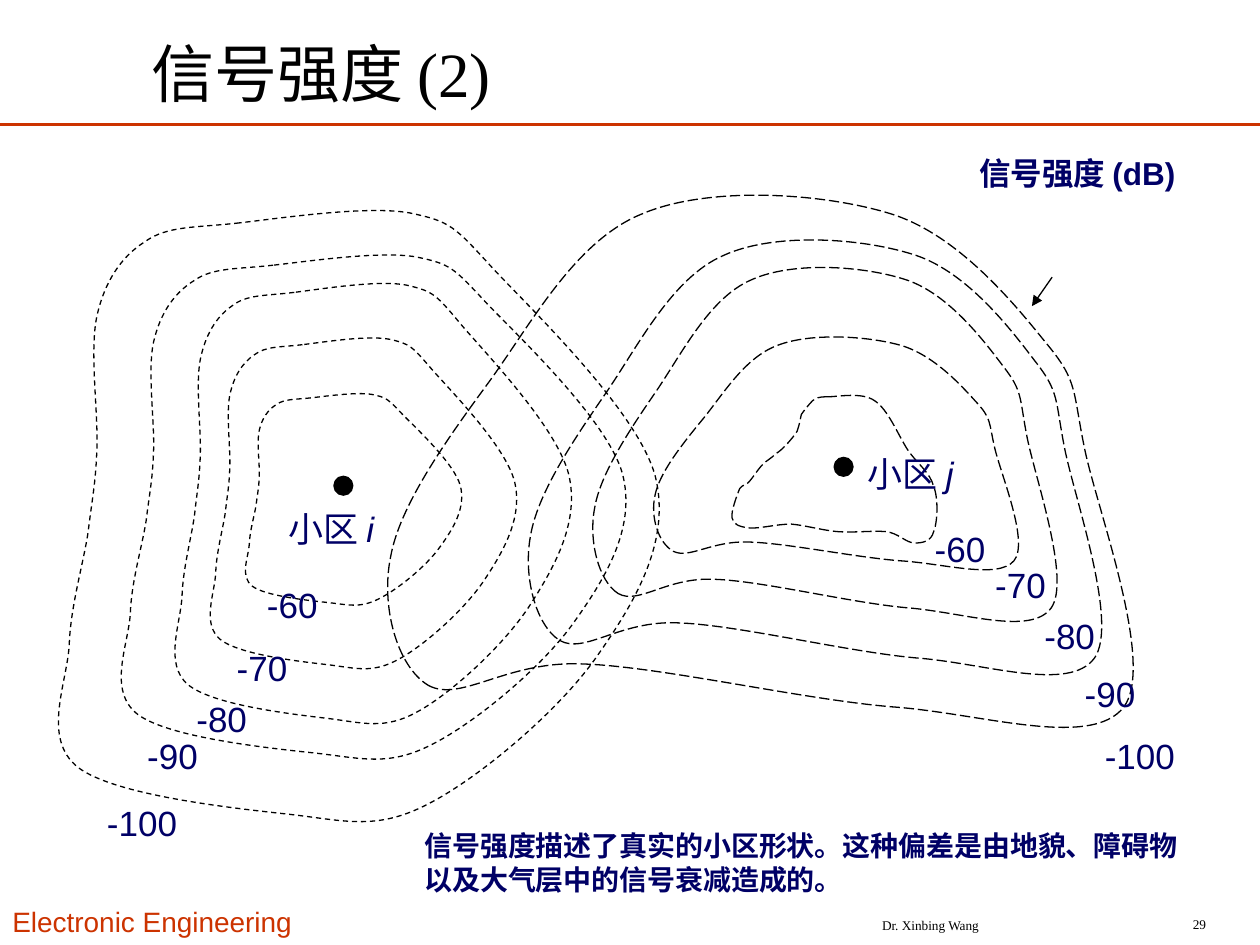
from dataclasses import dataclass

from pptx import Presentation
from pptx.dml.color import RGBColor
from pptx.enum import dml, shapes, text
from pptx.oxml.xmlchemy import OxmlElement
from pptx.util import Inches, Pt


@dataclass(frozen=True)
class Theme:
    ink: RGBColor = RGBColor(0, 0, 0)
    navy: RGBColor = RGBColor(0x00, 0x00, 0x66)
    red: RGBColor = RGBColor(0xCC, 0x33, 0x00)
    sans: str = "Arial"
    serif: str = "Times New Roman"
    title: float = 36
    label: float = 20
    head: float = 18
    body: float = 16
    small: float = 7.6
    thin: float = 0.75
    rule: float = 1.5


T = Theme()
LEFT, MID, RIGHT = text.PP_ALIGN.LEFT, text.PP_ALIGN.CENTER, text.PP_ALIGN.RIGHT

# Closed Bezier outlines: a start point, then three points per curve
CELL_I = [
    (1.9, 1.77),
    (1.55, 1.81), (1.33, 1.79), (1.15, 1.92),
    (0.96, 2.04), (0.83, 2.24), (0.77, 2.51),
    (0.71, 2.79), (0.78, 3.27), (0.77, 3.56),
    (0.76, 3.85), (0.73, 3.97), (0.7, 4.23),
    (0.66, 4.49), (0.56, 4.82), (0.55, 5.13),
    (0.53, 5.44), (0.33, 5.87), (0.62, 6.1),
    (0.91, 6.32), (1.81, 6.42), (2.27, 6.47),
    (2.73, 6.52), (2.98, 6.61), (3.4, 6.39),
    (3.81, 6.18), (4.45, 5.64), (4.75, 5.2),
    (5.05, 4.77), (5.33, 4.29), (5.2, 3.78),
    (5.06, 3.27), (4.25, 2.49), (3.92, 2.14),
    (3.6, 1.79), (3.58, 1.76), (3.25, 1.69),
    (2.91, 1.63), (2.25, 1.73), (1.9, 1.77),
]
CELL_J = [
    (3.4, 5.44),
    (3.66, 5.58), (4.02, 5.24), (4.63, 5.27),
    (5.24, 5.29), (6.36, 5.55), (7.08, 5.61),
    (7.79, 5.66), (8.66, 5.95), (8.92, 5.61),
    (9.17, 5.27), (8.71, 4.05), (8.61, 3.57),
    (8.51, 3.09), (8.56, 3.03), (8.3, 2.72),
    (8.05, 2.41), (7.61, 1.87), (7.08, 1.7),
    (6.54, 1.53), (5.62, 1.47), (5.09, 1.7),
    (4.55, 1.92), (4.2, 2.6), (3.86, 3.06),
    (3.53, 3.51), (3.17, 4.02), (3.1, 4.42),
    (3.02, 4.81), (3.15, 5.29), (3.4, 5.44),
]
CORE_J = [
    (6.57, 3.15),
    (6.48, 3.15), (6.49, 3.16), (6.45, 3.18),
    (6.42, 3.21), (6.38, 3.26), (6.36, 3.29),
    (6.35, 3.33), (6.35, 3.35), (6.34, 3.38),
    (6.33, 3.41), (6.33, 3.43), (6.3, 3.46),
    (6.27, 3.5), (6.21, 3.57), (6.16, 3.6),
    (6.12, 3.64), (6.09, 3.65), (6.05, 3.69),
    (6.02, 3.72), (5.97, 3.8), (5.94, 3.83),
    (5.91, 3.86), (5.9, 3.84), (5.87, 3.88),
    (5.85, 3.93), (5.8, 4.06), (5.81, 4.11),
    (5.82, 4.16), (5.86, 4.18), (5.94, 4.19),
    (6.02, 4.2), (6.16, 4.16), (6.28, 4.16),
    (6.39, 4.17), (6.53, 4.21), (6.65, 4.22),
    (6.78, 4.23), (6.93, 4.21), (7.03, 4.22),
    (7.13, 4.23), (7.19, 4.31), (7.26, 4.31),
    (7.32, 4.31), (7.39, 4.3), (7.41, 4.22),
    (7.44, 4.15), (7.45, 3.96), (7.41, 3.86),
    (7.38, 3.75), (7.29, 3.69), (7.21, 3.58),
    (7.13, 3.46), (7.05, 3.25), (6.94, 3.18),
    (6.84, 3.11), (6.65, 3.15), (6.57, 3.15),
]

# Contour boxes (left, top, width, height), from the weakest level inwards
RINGS_I = [(0.33, 1.63, 5, 4.97), (0.85, 1.99, 4.2, 4.1), (1.3, 2.22, 3.3, 3.58),
           (1.6, 2.66, 2.55, 2.69), (1.9, 3.11, 1.8, 1.72)]
RINGS_J = [(3.02, 1.47, 6.15, 4.48), (4.15, 1.84, 4.73, 3.66),
           (4.67, 2.07, 3.83, 2.98), (5.16, 2.64, 3.01, 1.96)]

# Level label corners, in the order of LEVELS
LEVELS = range(-100, -59, 10)
MARKS_I = [(0.75, 6.31), (1.07, 5.78), (1.46, 5.49), (1.78, 5.08), (2.02, 4.58)]
MARKS_J = [(8.67, 5.78), (8.51, 5.29), (8.19, 4.83), (7.8, 4.42), (7.32, 4.14)]


def style(font, size, color, face=T.sans, bold=False):
    font.size, font.name, font.bold = Pt(size), face, bold
    font.color.rgb = color


def add_text(slide, box, words, size, color=T.navy, face=T.sans,
             bold=False, align=LEFT, anchor=text.MSO_ANCHOR.TOP):
    frame = slide.shapes.add_textbox(*map(Inches, box)).text_frame
    frame.word_wrap = True
    frame.vertical_anchor = anchor
    frame.text = words
    par = frame.paragraphs[0]
    par.alignment = align
    style(par.runs[0].font, size, color, face, bold)
    return par


def add_name(slide, box, letter):
    par = add_text(slide, box, "小区 ", T.label)
    run = par.add_run()
    run.text = letter
    style(run.font, T.label, T.navy)
    run.font.italic = True


def add_line(slide, start, end, color, width, arrow=False):
    line = slide.shapes.add_connector(
        shapes.MSO_CONNECTOR.STRAIGHT, *map(Inches, start + end))
    line.line.color.rgb = color
    line.line.width = Pt(width)
    if arrow:
        tip = OxmlElement("a:tailEnd")
        tip.set("type", "triangle")
        line.element.xpath(".//a:ln")[0].append(tip)
    line.element.spPr.append(OxmlElement("a:effectLst"))


def fit(points, box):
    """Scale an outline so that its points fill the box."""
    xs, ys = zip(*points)
    left, top, wide, high = box
    across = wide / (max(xs) - min(xs))
    down = high / (max(ys) - min(ys))
    return [(left + (x - min(xs)) * across, top + (y - min(ys)) * down)
            for x, y in points]


def add_ring(group, points, dash):
    spots = [(Inches(x), Inches(y)) for x, y in points]
    pen = group.shapes.build_freeform(*spots[0])
    pen.add_line_segments(spots[1:], close=True)
    ring = pen.convert_to_shape()
    # Turn each three straight legs into one Bezier curve
    legs = ring.element.xpath(".//a:lnTo")
    for i in range(0, len(legs), 3):
        curve = OxmlElement("a:cubicBezTo")
        legs[i].addprevious(curve)
        for leg in legs[i:i + 3]:
            curve.append(leg[0])
            leg.getparent().remove(leg)
    ring.shadow.inherit = False
    ring.fill.background()
    ring.line.color.rgb = T.ink
    ring.line.width = Pt(T.thin)
    ring.line.dash_style = dash


def add_cell(slide, rings, dash, spot):
    group = slide.shapes.add_group_shape()
    for points in rings:
        add_ring(group, points, dash)
    dot = group.shapes.add_shape(shapes.MSO_SHAPE.FLOWCHART_CONNECTOR,
                                 *map(Inches, spot + (0.15, 0.15)))
    dot.shadow.inherit = False
    dot.fill.solid()
    dot.fill.fore_color.rgb = dot.line.color.rgb = T.ink
    dot.line.width = Pt(T.thin)


def add_title(slide, box, words):
    title = slide.shapes.title
    title.left, title.top, title.width, title.height = map(Inches, box)
    frame = title.text_frame
    frame.text = words
    frame.auto_size = text.MSO_AUTO_SIZE.NONE
    frame.vertical_anchor = text.MSO_ANCHOR.MIDDLE
    frame.paragraphs[0].alignment = LEFT
    style(frame.paragraphs[0].runs[0].font, T.title, T.ink, T.serif)


def main():
    deck = Presentation()
    deck.slide_width, deck.slide_height = Inches(10), Inches(7.5)
    slide = deck.slides.add_slide(deck.slide_layouts[5])

    # Title, rule and footer
    add_title(slide, (1.1, 0.22, 7.58, 0.7), "信号强度 (2)")
    add_line(slide, (0, 0.99), (10, 0.99), T.red, T.rule)
    add_text(slide, (0, 7.13, 2.55, 0.37), "Electronic Engineering", T.body, T.red)
    for box, words, align in [((6.17, 7.22, 2.43, 0.25), "Dr. Xinbing Wang", MID),
                              ((8.84, 7.21, 0.83, 0.25), "29", RIGHT)]:
        add_text(slide, box, words, T.small, T.ink, T.serif,
                 align=align, anchor=text.MSO_ANCHOR.MIDDLE)

    # Contours of both cells
    add_cell(slide, [fit(CELL_I, box) for box in RINGS_I],
             dml.MSO_LINE.DASH, (2.65, 3.78))
    add_cell(slide, [fit(CELL_J, box) for box in RINGS_J] + [CORE_J],
             dml.MSO_LINE.LONG_DASH, (6.62, 3.63))

    # Level labels and cell names
    for marks in (MARKS_I, MARKS_J):
        for level, spot in zip(LEVELS, marks):
            add_text(slide, spot + (0.79, 0.44), str(level), T.label)
    add_name(slide, (2.19, 3.98, 1.03, 0.44), "i")
    add_name(slide, (6.79, 3.54, 1.03, 0.44), "j")

    # Heading with arrow, and the remark
    add_text(slide, (7.59, 1.17, 1.92, 0.4), "信号强度 (dB)", T.head, bold=True, align=MID)
    add_line(slide, (8.35, 2.2), (8.19, 2.43), T.ink, T.thin, arrow=True)
    add_text(slide, (3.27, 6.53, 6.4, 0.64),
             "信号强度描述了真实的小区形状。这种偏差是由地貌、障碍物以及大气层中的信号衰减造成的。",
             T.body, bold=True)
    deck.save("out.pptx")


if __name__ == "__main__":
    main()
